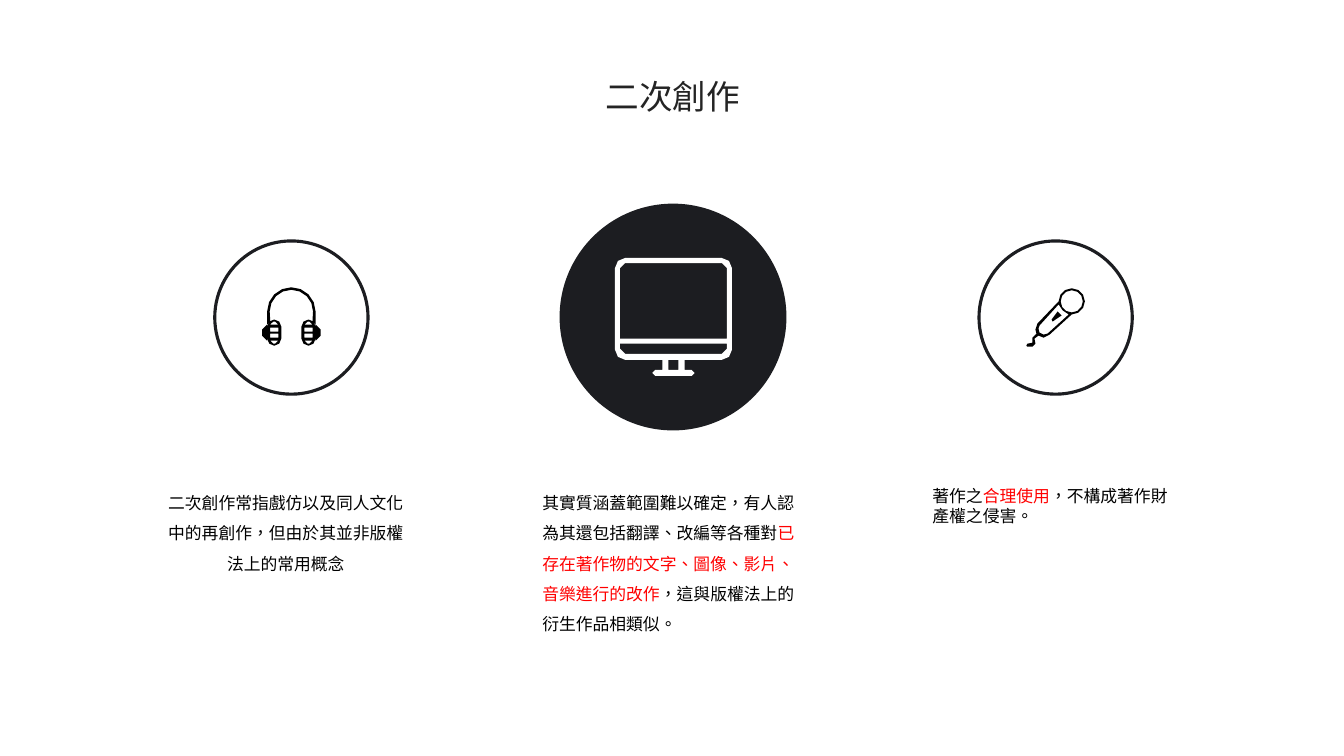
from dataclasses import dataclass
from math import cos, radians, sin
from typing import Optional

from lxml.etree import SubElement
from pptx import Presentation
from pptx.dml.color import RGBColor
from pptx.enum.lang import MSO_LANGUAGE_ID
from pptx.enum.shapes import MSO_SHAPE
from pptx.enum.text import MSO_ANCHOR, PP_ALIGN
from pptx.oxml.ns import qn
from pptx.util import Emu, Pt

PX = 9144  # 100 px to the inch
FONT = "Noto Sans CJK SC"
TITLE_GREY = RGBColor(0x24, 0x24, 0x24)
INK = RGBColor(0x1C, 0x1D, 0x21)
BLACK = RGBColor(0x00, 0x00, 0x00)
WHITE = RGBColor(0xFF, 0xFF, 0xFF)
RED = RGBColor(0xFF, 0x00, 0x00)

Point = tuple[float, float]
Contour = list[Point]


@dataclass(frozen=True)
class Box:
    left: int
    top: int
    width: int
    height: int

    def emu(self) -> tuple[Emu, Emu, Emu, Emu]:
        return (Emu(self.left * PX), Emu(self.top * PX),
                Emu(self.width * PX), Emu(self.height * PX))


@dataclass(frozen=True)
class Topic:
    circle: Box
    filled: bool
    icon: list[Contour]
    caption: Box
    text: list[tuple[str, bool]]  # wording, highlighted
    align: PP_ALIGN
    line_spacing: Optional[float]


# Contour geometry
def arc(x: float, y: float, radius: float, start: int, end: int, steps: int) -> Contour:
    angles = [radians(start + (end - start) * i / steps) for i in range(steps + 1)]
    return [(x + radius * cos(angle), y + radius * sin(angle)) for angle in angles]


def corner(x: int, y: int, radius: int, start: int) -> Contour:
    if radius == 0:
        return [(x, y)]
    return arc(x, y, radius, start, start + 90, 2 if radius > 5 else 1)


def rounded(left: int, top: int, right: int, bottom: int,
            top_left: int = 0, top_right: int = 0,
            bottom_right: int = 0, bottom_left: int = 0) -> Contour:
    return [
        *corner(left + top_left, top + top_left, top_left, 180),
        *corner(right - top_right, top + top_right, top_right, 270),
        *corner(right - bottom_right, bottom - bottom_right, bottom_right, 0),
        *corner(left + bottom_left, bottom - bottom_left, bottom_left, 90),
    ]


def mirrored(contours: list[Contour], axis: int) -> list[Contour]:
    return [[(2 * axis - x, y) for x, y in contour] for contour in contours]


# Icons: inner contours cut holes in outer ones
def headphones() -> list[Contour]:
    axis = 289
    band = [(265, 322), *arc(axis, 309, 24, 180, 360, 8), (313, 322),
            (310, 318), *arc(axis, 309, 21.5, 360, 180, 8), (268, 318)]
    ear = [
        rounded(260, 322, 265, 338, top_left=5, bottom_left=5),
        rounded(265, 317, 279, 343, 7, 7, 7, 7),
        rounded(268, 319, 276, 322, 3, 3),
        rounded(268, 325, 276, 329),
        rounded(268, 331, 276, 335),
        rounded(268, 338, 276, 341, 0, 0, 3, 3),
    ]
    return [band, *ear, *mirrored(ear, axis)]


def monitor() -> list[Contour]:
    return [
        rounded(610, 256, 726, 357, 10, 10, 10, 10),
        rounded(615, 261, 721, 336, 5, 5),
        rounded(615, 341, 721, 351, 0, 0, 5, 5),
        rounded(657, 357, 663, 367),
        rounded(673, 357, 679, 367),
        rounded(647, 367, 689, 373, 3, 3, 3, 3),
    ]


def microphone() -> list[Contour]:
    body_and_cable = [
        *arc(1063, 299, 13, 180, 450, 9),
        (1041, 332), (1035, 335), (1030, 333), (1026, 336), (1027, 341),
        (1024, 344), (1019, 344), (1018, 343), (1019, 341), (1024, 340),
        (1024, 335), (1028, 331), (1027, 327), (1029, 321),
    ]
    handle = [(1039, 331), (1035, 332), (1031, 330), (1030, 326), (1031, 323),
              (1050, 302), (1054, 308), (1060, 312)]
    switch = [(1043, 317), (1044, 319), (1053, 313), (1049, 309)]
    return [body_and_cable, arc(1063, 299, 11, 0, 330, 11), handle, switch]


TITLE_BOX = Box(460, 70, 415, 50)
TOPICS = [
    Topic(Box(971, 239, 152, 152), False, microphone(), Box(915, 477, 263, 50),
          [("著作之", False), ("合理使用", True), ("，不構成著作財產權之侵害。", False)],
          PP_ALIGN.LEFT, None),
    Topic(Box(555, 202, 225, 225), True, monitor(), Box(528, 474, 275, 157),
          [("其實質涵蓋範圍難以確定，有人認為其還包括翻譯、改編等各種對", False),
           ("已存在著作物的文字、圖像、影片、音樂進行的改作", True),
           ("，這與版權法上的衍生作品相類似。", False)],
          PP_ALIGN.LEFT, 1.5),
    Topic(Box(213, 239, 152, 152), False, headphones(), Box(152, 474, 263, 101),
          [("二次創作常指戲仿以及同人文化中的再創作，但由於其並非版權法上的常用概念", False)],
          PP_ALIGN.CENTER, 1.5),
]


def style_paragraph(paragraph, size: int, color: RGBColor, align: PP_ALIGN) -> None:
    paragraph.alignment = align
    paragraph.font.size = Pt(size)
    paragraph.font.color.rgb = color
    paragraph.font.name = FONT
    defaults = paragraph._p.find(".//" + qn("a:defRPr"))
    SubElement(defaults, qn("a:ea")).set("typeface", FONT)


def draw_title(slide) -> None:
    title = slide.shapes.title
    title.left, title.top, title.width, title.height = TITLE_BOX.emu()
    title.text_frame.text = "二次創作"
    title.text_frame.vertical_anchor = MSO_ANCHOR.MIDDLE
    style_paragraph(title.text_frame.paragraphs[0], 24, TITLE_GREY, PP_ALIGN.CENTER)


def draw_circle(group, topic: Topic) -> None:
    circle = group.shapes.add_shape(MSO_SHAPE.OVAL, *topic.circle.emu())
    circle.shadow.inherit = False
    if topic.filled:
        circle.fill.solid()
        circle.fill.fore_color.rgb = INK
        circle.line.fill.background()
    else:
        circle.fill.background()
        circle.line.color.rgb = INK
        circle.line.width = Pt(2.25)


def draw_icon(group, topic: Topic) -> None:
    contours = [[(x * PX, y * PX) for x, y in contour] for contour in topic.icon]
    builder = group.shapes.build_freeform(*contours[0][0], scale=1.0)
    builder.add_line_segments(contours[0][1:], close=True)
    for contour in contours[1:]:
        builder.move_to(*contour[0])
        builder.add_line_segments(contour[1:], close=True)
    icon = builder.convert_to_shape()
    icon.shadow.inherit = False
    icon.fill.solid()
    icon.fill.fore_color.rgb = WHITE if topic.filled else BLACK
    icon.line.fill.background()


def draw_caption(group, topic: Topic) -> None:
    frame = group.shapes.add_textbox(*topic.caption.emu()).text_frame
    frame.word_wrap = True
    paragraph = frame.paragraphs[0]
    paragraph.line_spacing = topic.line_spacing
    style_paragraph(paragraph, 12, BLACK, topic.align)
    for wording, highlighted in topic.text:
        run = paragraph.add_run()
        run.text = wording
        run.font.language_id = MSO_LANGUAGE_ID.TRADITIONAL_CHINESE
        if highlighted:
            run.font.color.rgb = RED


def main() -> None:
    presentation = Presentation()
    presentation.slide_width = Emu(1333 * PX)
    presentation.slide_height = Emu(750 * PX)
    slide = presentation.slides.add_slide(presentation.slide_layouts[5])
    draw_title(slide)
    for topic in TOPICS:
        group = slide.shapes.add_group_shape()
        draw_circle(group, topic)
        draw_icon(group, topic)
        draw_caption(group, topic)
    presentation.save("out.pptx")


if __name__ == "__main__":
    main()
